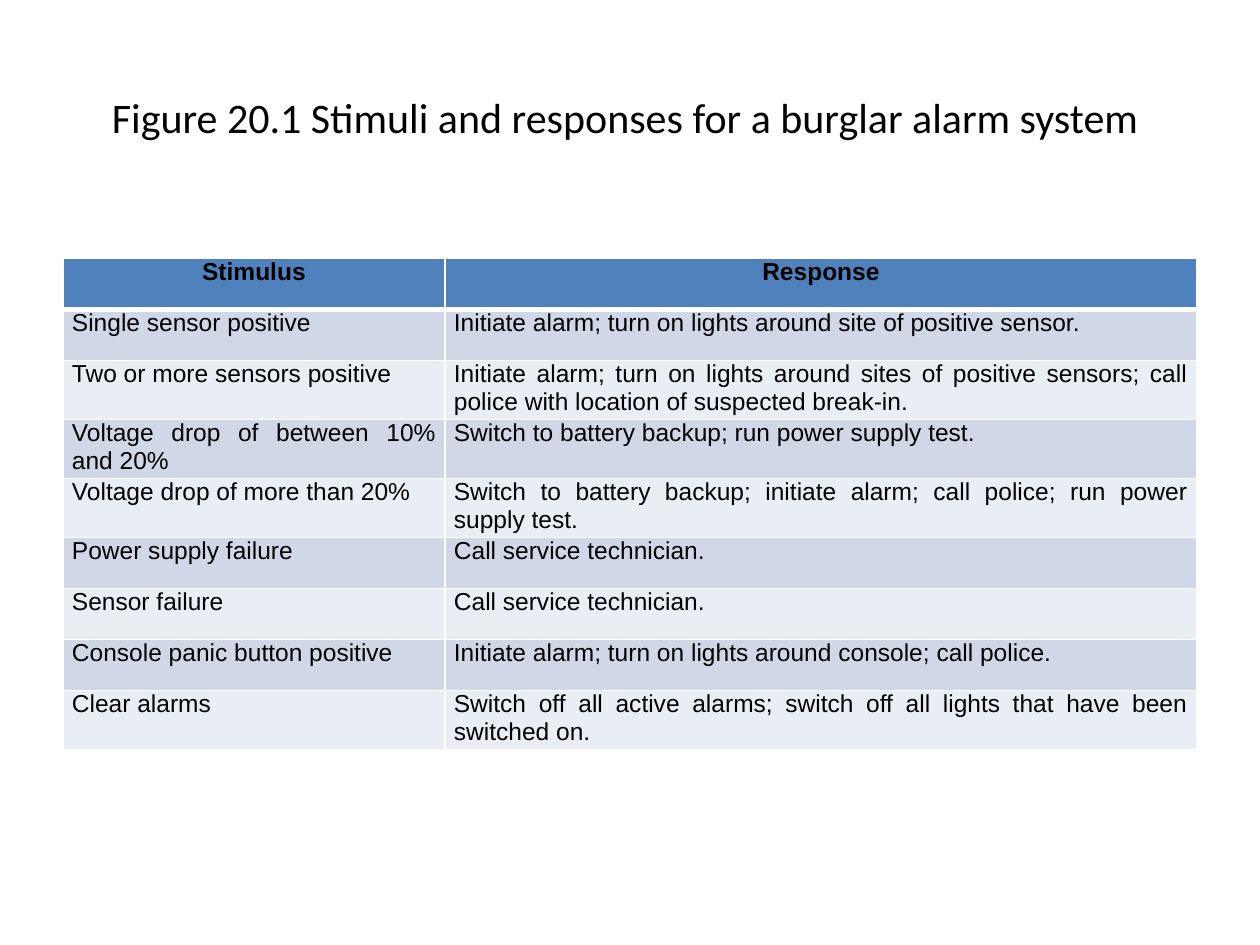
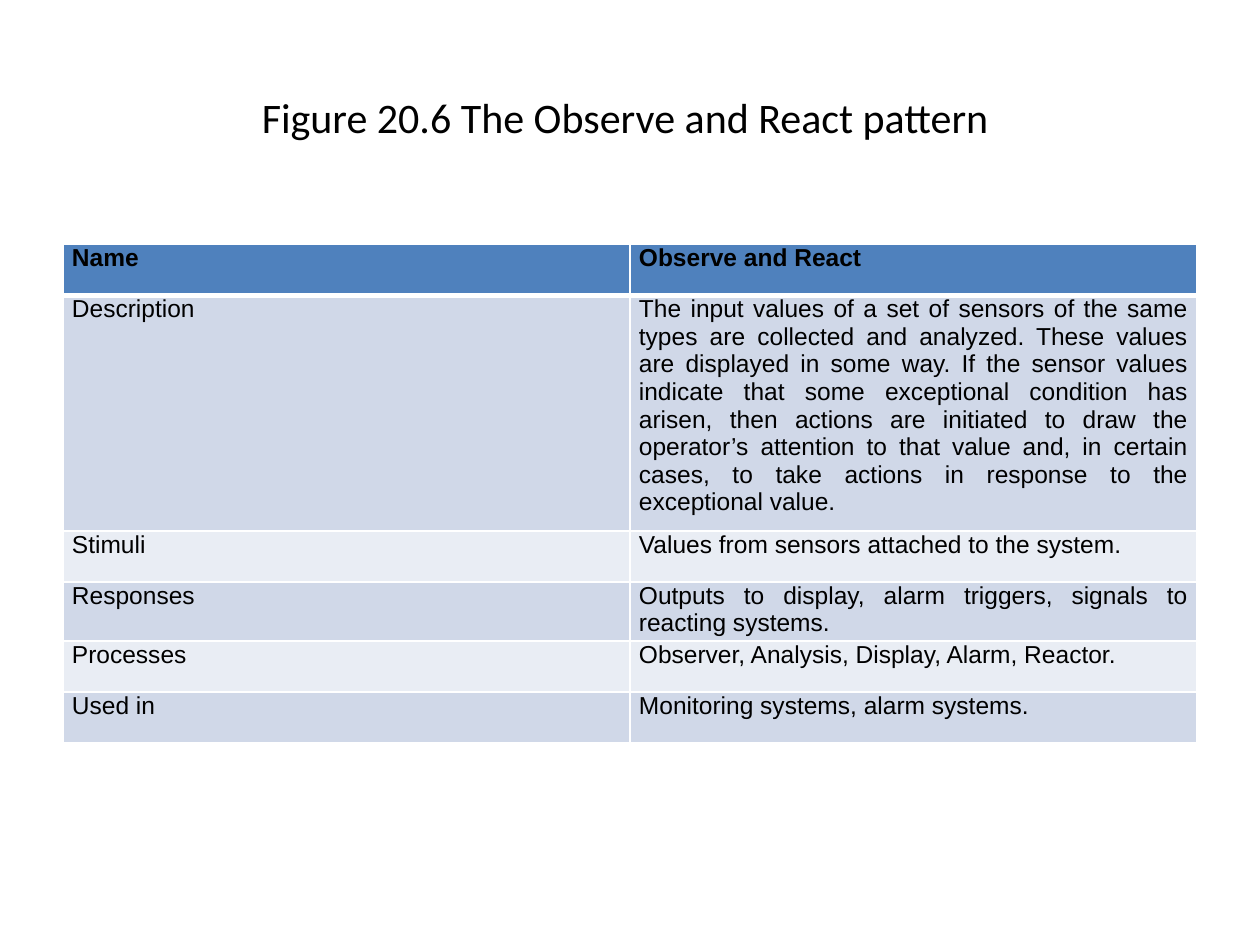
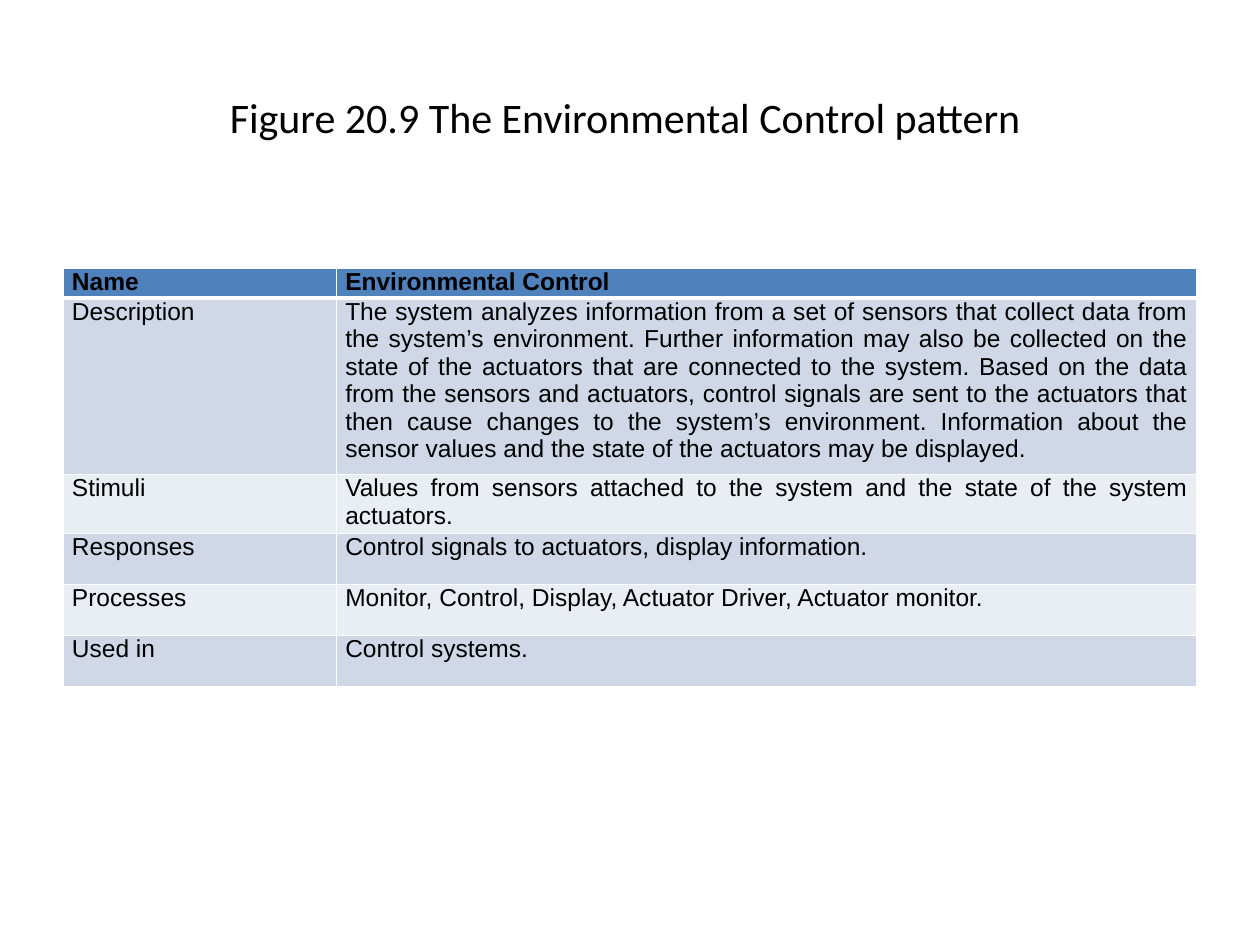
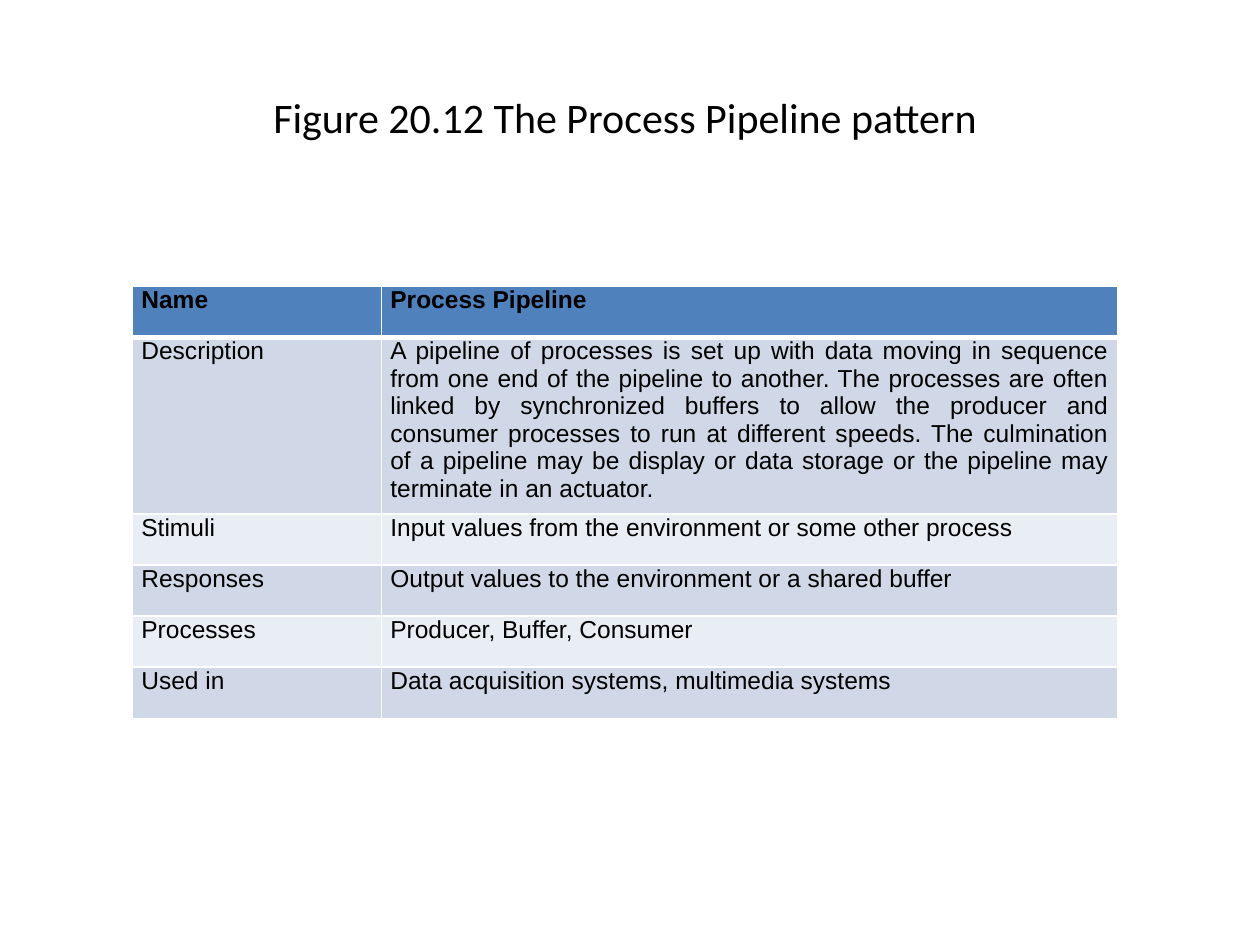
import pptx
import pptx.dml.color
import pptx.enum.text
import pptx.oxml
import pptx.oxml.ns
import pptx.util

Cm = pptx.util.Cm
Pt = pptx.util.Pt
RGBColor = pptx.dml.color.RGBColor
ALIGN = pptx.enum.text.PP_ALIGN

BLACK = RGBColor(0x00, 0x00, 0x00)
WHITE = RGBColor(0xFF, 0xFF, 0xFF)
HEADER_BLUE = RGBColor(0x4F, 0x81, 0xBD)
BAND_COLOURS = (RGBColor(0xD0, 0xD8, 0xE8), RGBColor(0xE9, 0xED, 0xF4))

ROW_HEIGHT = 1.03
TITLE_FONT = {"name": "Calibri", "size": Pt(24), "bold": False}
HEADER_FONT = {"name": "Arial", "size": Pt(14), "bold": True}
BODY_FONT = {**HEADER_FONT, "bold": False}
CELL_MARGINS = {
    "margin_left": Cm(0.18), "margin_right": Cm(0.18),
    "margin_top": 0, "margin_bottom": 0,
}

FIGURES = [
    {
        "title": "Figure 20.1 Stimuli and responses for a burglar alarm system ",
        "left": 1.27, "top": 5.21, "height": 9.88, "columns": (7.7, 15.16),
        "header_height": ROW_HEIGHT, "header_align": ALIGN.CENTER,
        "rows": [
            ("Stimulus", "Response"),
            ("Single sensor positive",
             "Initiate alarm; turn on lights around site of positive sensor."),
            ("Two or more sensors positive",
             "Initiate alarm; turn on lights around sites of positive sensors; "
             "call police with location of suspected break-in."),
            ("Voltage drop of between 10% and 20%",
             "Switch to battery backup; run power supply test."),
            ("Voltage drop of more than 20%",
             "Switch to battery backup; initiate alarm; call police; "
             "run power supply test."),
            ("Power supply failure", "Call service technician."),
            ("Sensor failure", "Call service technician."),
            ("Console panic button positive",
             "Initiate alarm; turn on lights around console; call police."),
            ("Clear alarms",
             "Switch off all active alarms; switch off all lights that have "
             "been switched on."),
        ],
    },
    {
        "title": "Figure 20.6 The Observe and React pattern ",
        "left": 1.27, "top": 4.93, "height": 10.06, "columns": (11.43, 11.43),
        "header_height": ROW_HEIGHT, "header_align": ALIGN.JUSTIFY,
        "rows": [
            ("Name", "Observe and React"),
            ("Description",
             "The input values of a set of sensors of the same types are "
             "collected and analyzed. These values are displayed in some way. "
             "If the sensor values indicate that some exceptional condition "
             "has arisen, then actions are initiated to draw the operator’s "
             "attention to that value and, in certain cases, to take actions "
             "in response to the exceptional value."),
            ("Stimuli", "Values from sensors attached to the system."),
            ("Responses",
             "Outputs to display, alarm triggers, signals to reacting systems."),
            ("Processes", "Observer, Analysis, Display, Alarm, Reactor."),
            ("Used in", "Monitoring systems, alarm systems."),
        ],
    },
    {
        "title": "Figure 20.9 The Environmental Control pattern ",
        "left": 1.27, "top": 5.41, "height": 8.43, "columns": (5.51, 17.35),
        "header_height": 0.53, "header_align": ALIGN.JUSTIFY,
        "rows": [
            ("Name", "Environmental Control"),
            ("Description",
             "The system analyzes information from a set of sensors that "
             "collect data from the system’s environment. Further information "
             "may also be collected on the state of the actuators that are "
             "connected to the system. Based on the data from the sensors and "
             "actuators, control signals are sent to the actuators that then "
             "cause changes to the system’s environment. Information about the "
             "sensor values and the state of the actuators may be displayed."),
            ("Stimuli",
             "Values from sensors attached to the system and the state of the "
             "system actuators."),
            ("Responses", "Control signals to actuators, display information."),
            ("Processes",
             "Monitor, Control, Display, Actuator Driver, Actuator monitor."),
            ("Used in", "Control systems. "),
        ],
    },
    {
        "title": "Figure 20.12 The Process Pipeline pattern ",
        "left": 2.67, "top": 5.77, "height": 8.71, "columns": (5.02, 14.84),
        "header_height": ROW_HEIGHT, "header_align": ALIGN.JUSTIFY,
        "rows": [
            ("Name", "Process Pipeline"),
            ("Description",
             "A pipeline of processes is set up with data moving in sequence "
             "from one end of the pipeline to another. The processes are often "
             "linked by synchronized buffers to allow the producer and "
             "consumer processes to run at different speeds. The culmination "
             "of a pipeline may be display or data storage or the pipeline may "
             "terminate in an actuator."),
            ("Stimuli", "Input values from the environment or some other process"),
            ("Responses", "Output values to the environment or a shared buffer"),
            ("Processes", "Producer, Buffer, Consumer"),
            ("Used in", "Data acquisition systems, multimedia systems "),
        ],
    },
]


def set_values(target, values):
    for name, value in values.items():
        setattr(target, name, value)


def write_text(frame, text, font, paragraph_format):
    para = frame.paragraphs[0]
    set_values(para, paragraph_format)
    span = para.add_run()
    span.text = text
    set_values(span.font, font)
    span.font.color.rgb = BLACK


def add_title(page, text):
    box = page.shapes.add_textbox(Cm(1.27), Cm(0.76), Cm(22.86), Cm(3.18))
    frame = box.text_frame
    frame.word_wrap = True
    frame.vertical_anchor = pptx.enum.text.MSO_ANCHOR.MIDDLE
    write_text(frame, text, TITLE_FONT, {"alignment": ALIGN.CENTER})


def add_borders(cell, widths):
    properties = cell._tc.get_or_add_tcPr()
    for side, width in widths.items():
        properties.append(pptx.oxml.parse_xml(
            f'<a:ln{side} {pptx.oxml.ns.nsdecls("a")} w="{Pt(width)}">'
            f'<a:solidFill><a:srgbClr val="{WHITE}"/></a:solidFill></a:ln{side}>'
        ))


def fill_cell(cell, text, row_index, header_align):
    is_header = row_index == 0
    set_values(cell, CELL_MARGINS)
    if is_header:
        add_borders(cell, {"L": 1, "R": 1, "T": 1, "B": 3})
    else:
        add_borders(cell, {"L": 1, "R": 1, "B": 1})
    cell.fill.solid()
    band = BAND_COLOURS[(row_index - 1) % len(BAND_COLOURS)]
    cell.fill.fore_color.rgb = HEADER_BLUE if is_header else band
    write_text(cell.text_frame, text, HEADER_FONT if is_header else BODY_FONT, {
        "alignment": header_align if is_header else ALIGN.JUSTIFY,
        "space_before": Pt(3 if row_index < 2 else 0),
        "space_after": Pt(3),
    })


def add_figure_table(page, figure):
    rows, columns = figure["rows"], figure["columns"]
    holder = page.shapes.add_table(
        len(rows), len(columns), Cm(figure["left"]), Cm(figure["top"]),
        Cm(sum(columns)), Cm(figure["height"]),
    )
    table = holder.table
    table.horz_banding = False
    for column, width in zip(table.columns, columns):
        column.width = Cm(width)
    for row_index, texts in enumerate(rows):
        height = ROW_HEIGHT if row_index else figure["header_height"]
        table.rows[row_index].height = Cm(height)
        for column_index, text in enumerate(texts):
            cell = table.cell(row_index, column_index)
            fill_cell(cell, text, row_index, figure["header_align"])
    holder.height = Cm(figure["height"])


def main():
    deck = pptx.Presentation()
    deck.slide_width, deck.slide_height = Cm(25.4), Cm(19.05)
    for figure in FIGURES:
        page = deck.slides.add_slide(deck.slide_layouts[6])
        add_title(page, figure["title"])
        add_figure_table(page, figure)
    deck.save("out.pptx")


if __name__ == "__main__":
    main()
